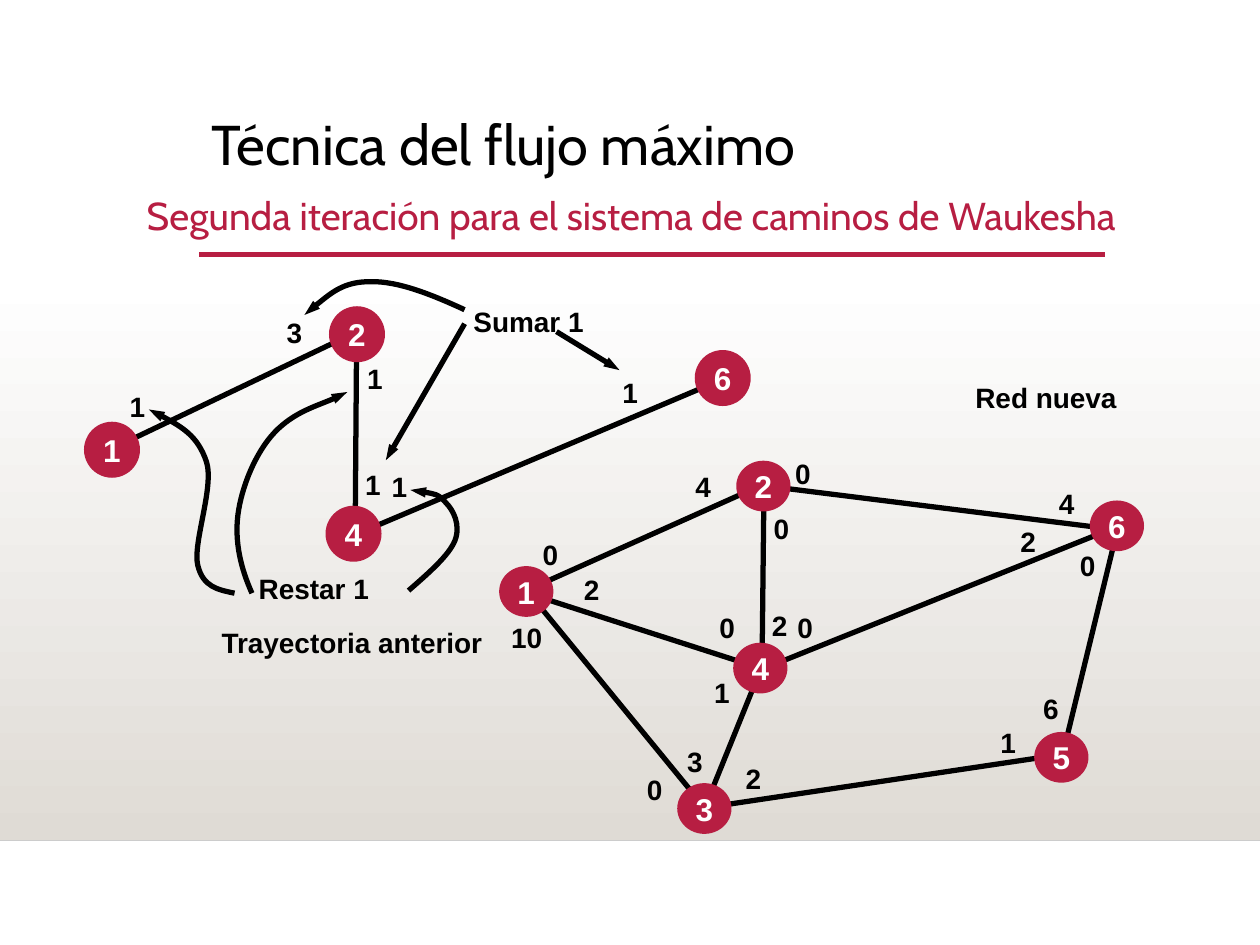
"""Build the slide on the second iteration of the maximal-flow technique."""
from lxml.etree import Element, SubElement
from pptx import Presentation
from pptx.dml.color import RGBColor
from pptx.enum.shapes import MSO_CONNECTOR, MSO_SHAPE
from pptx.enum.text import MSO_ANCHOR, PP_ALIGN
from pptx.oxml.ns import qn
from pptx.util import Pt

CRIMSON = RGBColor(0xB7, 0x1E, 0x42)
BLACK = RGBColor(0, 0, 0)
WHITE = RGBColor(0xFF, 0xFF, 0xFF)
SAND = RGBColor(0xDF, 0xDB, 0xD5)
SILVER = RGBColor(0xCC, 0xCC, 0xCC)

TITLE = "Técnica del flujo máximo"
SUBTITLE = "Segunda iteración para el sistema de caminos de Waukesha"

NEW_NETWORK = {
    "node_size": (31, 29),
    "nodes": {"1": (300.75, 338), "2": (436.25, 277.75), "3": (402.5, 462),
              "4": (434.5, 381.75), "5": (606.5, 432.75), "6": (638.25, 300.5)},
    "edges": [((306, 343.5), (399, 457)), ((413.5, 460), (597.5, 432.5)),
              ((406, 453.5), (432.5, 388)), ((441.5, 380), (629.5, 304.5)),
              ((444, 278.5), (636.5, 302.5)), ((304, 336), (433.5, 278)),
              ((609, 424), (637, 309)), ((304.5, 340), (433.5, 381.5)),
              ((435.5, 376.5), (436.5, 286))],
    "flows": [("10", 301, 364), ("0", 374, 451), ("2", 430.5, 445), ("1", 576, 424.5),
              ("3", 397, 435), ("1", 412.5, 395.5), ("2", 587.5, 309.5), ("0", 460, 358.5),
              ("4", 609.5, 287.5), ("0", 458.75, 270.5), ("4", 401.75, 278),
              ("0", 314.5, 316.75), ("6", 600.5, 405), ("0", 621.5, 323),
              ("2", 338, 337), ("0", 415.5, 358.5), ("2", 445.5, 357.5), ("0", 446.5, 302)],
}
PREVIOUS_PATH = {
    "node_size": (32, 32),
    "nodes": {"1": (64, 257), "2": (204, 191), "4": (202, 305), "6": (413, 216)},
    "edges": [((209, 303), (404, 220.5)), ((67, 255), (201, 191)),
              ((203, 299), (203.75, 200))],
    "flows": [("1", 360, 224.5), ("1", 228.25, 278), ("3", 168.25, 190),
              ("1", 78.5, 232.5), ("1", 213, 277), ("1", 214.25, 216.5)],
}
CAPTIONS = [("Trayectoria anterior", 204.5, 367, 170), ("Red nueva", 597.75, 227, 95),
            ("Sumar 1", 304, 183.5, 81), ("Restar 1", 181.25, 336.5, 81)]
STRAIGHT_ARROWS = [((265.5, 185), (220.5, 263)), ((318, 189.5), (354, 211.5))]
CURVED_ARROWS = [
    [(265.5, 177), (247, 168.5), (227.5, 160.5), (211.5, 161),
     (196.5, 161), (185, 170.5), (174, 180)],
    [(233.5, 337.5), (245, 327.5), (256.5, 317.5), (260, 309), (263.5, 300),
     (259, 291.5), (255, 287.5), (250.5, 282), (242.5, 281), (234.5, 280)],
    [(144, 339), (137.5, 324.5), (134, 309.5), (136, 294), (138, 278.5),
     (146, 258.5), (157, 247), (168, 235.5), (190, 229), (198.5, 224)],
    [(134, 339), (124.5, 337), (116, 335.5), (113, 323), (110, 310.5),
     (122.5, 278.5), (118, 264), (113, 249), (99.5, 241), (85, 234)],
]
LABEL_HEIGHT = 26.5


def write(shape, text, size, color, font="Arial", bold=True, align=PP_ALIGN.LEFT):
    shape.text_frame.text = text
    paragraph = shape.text_frame.paragraphs[0]
    paragraph.alignment = align
    paragraph.font.size = Pt(size)
    paragraph.font.name = font
    paragraph.font.bold = bold
    paragraph.font.color.rgb = color
    return paragraph


def add_heading(shapes, box, text, size, color, align):
    heading = shapes.add_textbox(*map(Pt, box))
    heading.text_frame.word_wrap = True
    return write(heading, text, size, color, "Cabin", False, align)


def add_label(shapes, text, x, y, width):
    label = shapes.add_textbox(Pt(x - width / 2), Pt(y - LABEL_HEIGHT / 2),
                               Pt(width), Pt(LABEL_HEIGHT))
    label.text_frame.word_wrap = False
    write(label, text, 16, BLACK)


def add_line(shapes, start, end, color=BLACK, width=3):
    line = shapes.add_connector(MSO_CONNECTOR.STRAIGHT, *map(Pt, (*start, *end)))
    line.line.color.rgb = color
    line.line.width = Pt(width)
    SubElement(line.element.spPr, qn("a:effectLst"))
    return line


def add_arrowhead(arrow):
    SubElement(arrow.element.spPr.find(qn("a:ln")), qn("a:tailEnd"),
               type="triangle", w="sm", len="med")


def bend(curve):
    legs = list(curve.element.iter(qn("a:lnTo")))
    for first in range(0, len(legs), 3):
        bezier = Element(qn("a:cubicBezTo"))
        legs[first].addprevious(bezier)
        for leg in legs[first:first + 3]:
            bezier.append(leg[0])
            leg.getparent().remove(leg)


def add_curved_arrow(shapes, controls):
    start, *rest = [tuple(map(Pt, point)) for point in controls]
    builder = shapes.build_freeform(*start)
    builder.add_line_segments(rest, close=False)
    curve = builder.convert_to_shape()
    bend(curve)
    curve.shadow.inherit = False
    curve.fill.background()
    curve.line.color.rgb = BLACK
    curve.line.width = Pt(3)
    add_arrowhead(curve)


def add_network(slide, network):
    shapes = slide.shapes.add_group_shape().shapes
    width, height = network["node_size"]
    for start, end in network["edges"]:
        add_line(shapes, start, end)
    for flow, x, y in network["flows"]:
        add_label(shapes, flow, x, y, 14 + 9 * len(flow))
    for name, (x, y) in network["nodes"].items():
        node = shapes.add_shape(MSO_SHAPE.OVAL, Pt(x - width / 2), Pt(y - height / 2),
                                Pt(width), Pt(height))
        node.shadow.inherit = False
        node.fill.solid()
        node.fill.fore_color.rgb = CRIMSON
        node.line.fill.background()
        node.text_frame.word_wrap = False
        node.text_frame.vertical_anchor = MSO_ANCHOR.MIDDLE
        write(node, name, 18, WHITE, align=PP_ALIGN.CENTER)


def add_backdrop(shapes):
    backdrop = shapes.add_shape(MSO_SHAPE.RECTANGLE, 0, Pt(158.5), Pt(720), Pt(321.5))
    backdrop.shadow.inherit = False
    backdrop.line.fill.background()
    backdrop.fill.gradient()
    backdrop.fill.gradient_angle = 270
    for stop, color in zip(backdrop.fill.gradient_stops, (WHITE, SAND)):
        stop.color.rgb = color
    add_line(shapes, (0, 480.25), (720, 480.25), SILVER, 1)
    add_line(shapes, (113.75, 145.5), (631.25, 145.5), CRIMSON, 2.5)


def main():
    deck = Presentation()
    deck.slide_width, deck.slide_height = Pt(720), Pt(540)
    slide = deck.slides.add_slide(deck.slide_layouts[6])
    shapes = slide.shapes
    add_backdrop(shapes)
    title = add_heading(shapes, (113.75, 63.5, 517.5, 82.5), TITLE, 32, BLACK, PP_ALIGN.LEFT)
    title.line_spacing = 0.9
    add_heading(shapes, (55.5, 106, 610.5, 58), SUBTITLE, 22.2, CRIMSON, PP_ALIGN.CENTER)
    add_network(slide, NEW_NETWORK)
    add_network(slide, PREVIOUS_PATH)
    for caption in CAPTIONS:
        add_label(shapes, *caption)
    for start, end in STRAIGHT_ARROWS:
        add_arrowhead(add_line(shapes, start, end))
    for controls in CURVED_ARROWS:
        add_curved_arrow(shapes, controls)
    deck.save("out.pptx")


if __name__ == "__main__":
    main()
